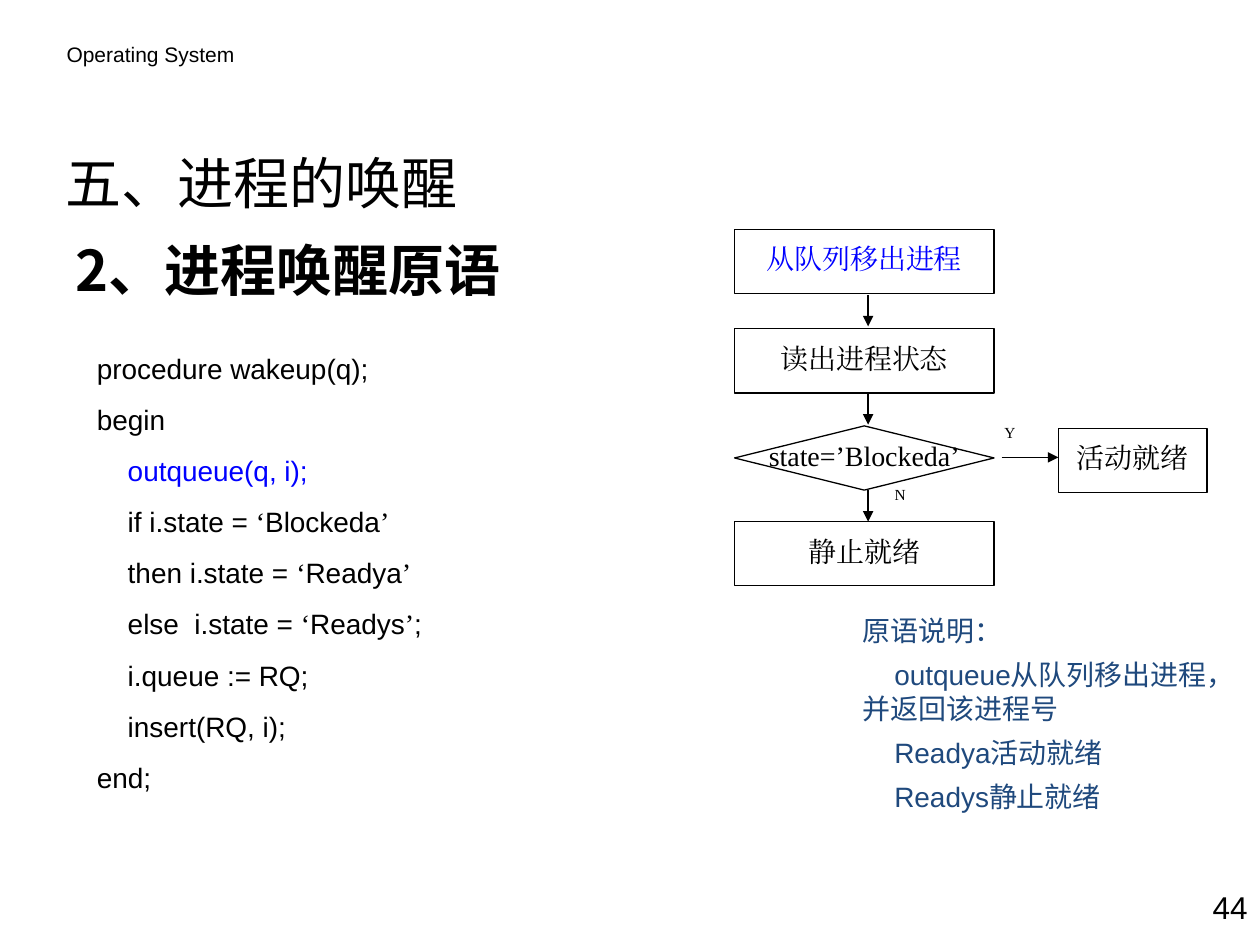
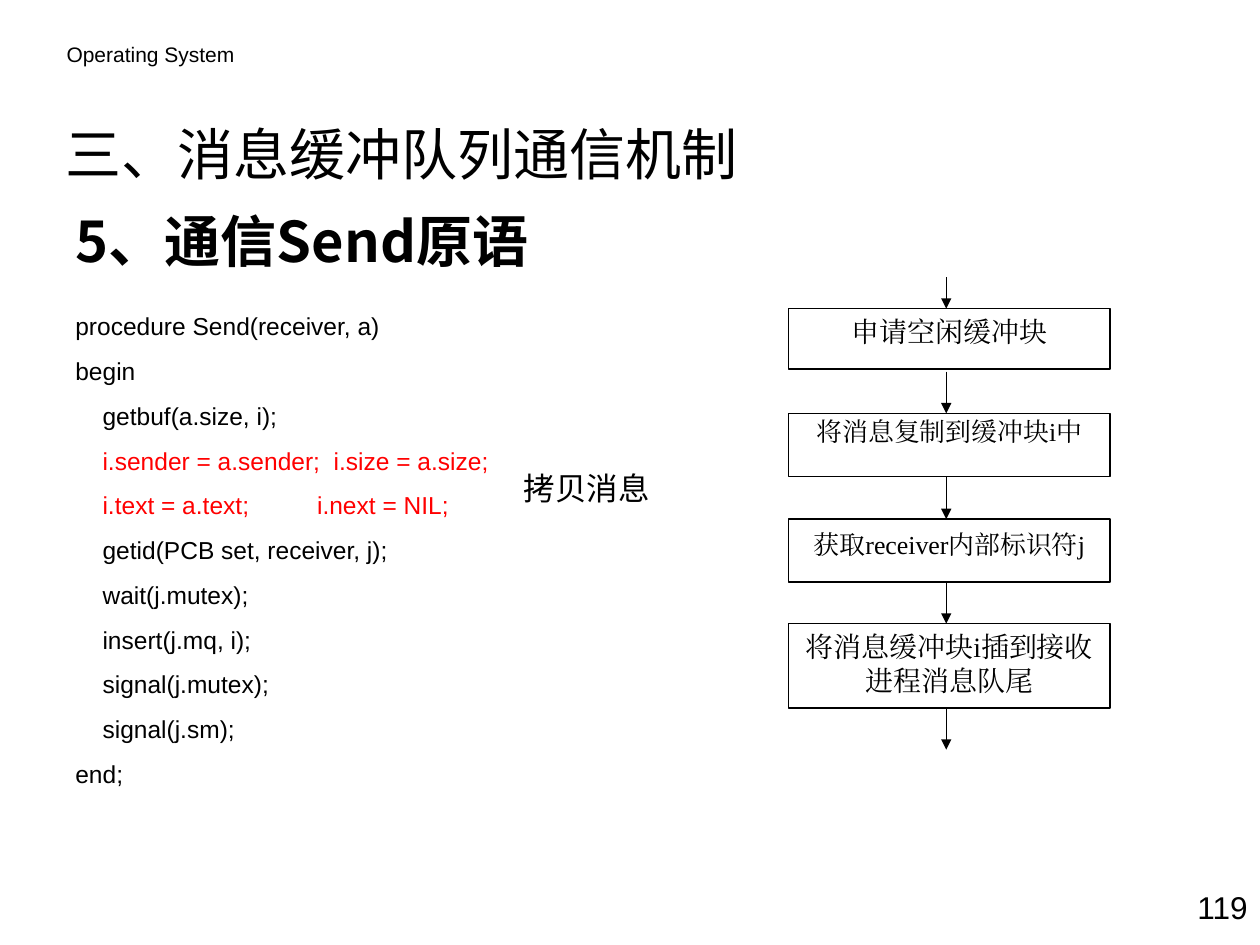
from itertools import groupby
from lxml.etree import SubElement as Sub
from pptx import Presentation
from pptx.dml.color import RGBColor as RGB
from pptx.enum.shapes import MSO_CONNECTOR as Conn, MSO_SHAPE as Kind
from pptx.enum.text import MSO_ANCHOR as Anchor, PP_ALIGN as Align
from pptx.oxml.ns import qn
from pptx.util import Inches, Pt

BLACK, BLUE, RED, NAVY, WHITE = "000000", "0000FF", "FF0000", "1F497D", "FFFFFF"
SANS, SERIF, HAN = "Arial", "Times New Roman", "Noto Sans CJK SC"
FLAT = (0, 0.1, 0, 0.05)
BASE = (0.1, 0.05, 0.1, 0.05)


def put(slide, at, text, size, font=SANS, hue=BLACK, kind=None, align=Align.LEFT,
        gap=0, ins=BASE, ratio=None, anchor=Anchor.TOP, bold=False, hot=(), tone=BLUE):
    place = [Inches(n) for n in at]
    if kind:
        box = slide.shapes.add_shape(kind, *place)
        box.shadow.inherit = False
        box.fill.solid()
        box.fill.fore_color.rgb = RGB.from_string(WHITE)
        box.line.color.rgb = RGB.from_string(BLACK)
        box.line.width = Pt(0.75)
    else:
        box = slide.shapes.add_textbox(*place)
    frame = box.text_frame
    frame.word_wrap = True
    frame.vertical_anchor = anchor
    frame.margin_left, frame.margin_top, frame.margin_right, frame.margin_bottom = [
        Inches(n) for n in ins]
    for row, line in enumerate(text.split("\n")):
        para = frame.add_paragraph() if row else frame.paragraphs[0]
        para.alignment = align
        para.space_before = Pt(gap if row else 0)
        if ratio:
            para.line_spacing = ratio
        for quote, part in groupby(line, lambda c: c in "‘’"):
            run = para.add_run()
            run.text = "".join(part)
            face = SERIF if quote else font
            run.font.size = Pt(size)
            run.font.bold = bold
            run.font.color.rgb = RGB.from_string(tone if row in hot else hue)
            run.font.name = face
            Sub(run.font._element, qn("a:ea"), typeface=face)
    return box


def arrow(slide, x1, y1, x2, y2):
    line = slide.shapes.add_connector(Conn.STRAIGHT, *[Inches(n) for n in (x1, y1, x2, y2)])
    line.line.color.rgb = RGB.from_string(BLACK)
    line.line.width = Pt(0.75)
    Sub(line.line._get_or_add_ln(), qn("a:tailEnd"), type="triangle", w="med", len="med")
    Sub(line._element.spPr, qn("a:effectLst"))


deck = Presentation()
deck.slide_width, deck.slide_height = Inches(10), Inches(7.5)

pages = [
    (1.07, "五、进程的唤醒", "2、进程唤醒原语", "44"),
    (0.84, "三、消息缓冲队列通信机制", "5、通信Send原语", "119"),
]
slides = []
for top, title, sub, num in pages:
    slide = deck.slides.add_slide(deck.slide_layouts[6])
    put(slide, (0.43, 0.28, 4.1, 0.3), "Operating System", 12)
    put(slide, (0.42, top, 5.67, 0.75), title, 32, HAN, anchor=Anchor.MIDDLE)
    put(slide, (0.5, top + 0.75, 5.5, 0.75), sub, 32, HAN, bold=True)
    put(slide, (9.1, 7, 0.9, 0.4), num, 18, align=Align.RIGHT)
    slides.append(slide)
wake, send = slides

code = """procedure wakeup(q);
begin
    outqueue(q, i);
    if i.state = ‘Blockeda’
    then i.state = ‘Readya’
    else  i.state = ‘Readys’;
    i.queue := RQ;
    insert(RQ, i);
end;"""
put(wake, (0.67, 2.74, 3.75, 3.61), code, 16, gap=10, hot=(2,))

note = "原语说明：\noutqueue从队列移出进程，并返回该进程号\nReadya活动就绪\nReadys静止就绪"
box = put(wake, (6.75, 4.82, 3, 1.69), note, 16, hue=NAVY, gap=6)
for para in box.text_frame.paragraphs[1:]:
    para._p.get_or_add_pPr().set("indent", str(Inches(0.25)))

steps = [
    (5.83, 1.82, 2.06, "从队列移出进程", BLUE),
    (5.83, 2.61, 2.06, "读出进程状态", BLACK),
    (5.83, 4.14, 2.06, "静止就绪", BLACK),
    (8.4, 3.4, 1.18, "活动就绪", BLACK),
]
for x, y, wide, text, hue in steps:
    put(wake, (x, y, wide, 0.51), text, 16, SERIF, hue, Kind.RECTANGLE, Align.CENTER, ins=FLAT)
test = (5.83, 3.38, 2.06, 0.51)
put(wake, test, "", 16, kind=Kind.FLOWCHART_DECISION)
put(wake, test, "state=’Blockeda’", 16, SERIF, align=Align.CENTER, ins=FLAT)
for x, y, text in [(6.8, 3.78, "N"), (7.67, 3.29, "Y")]:
    put(wake, (x, y, 0.69, 0.26), text, 8.8, SERIF, align=Align.CENTER,
        ins=(0, 0.1, 0, 0), ratio=0.8)
for y in (2.34, 3.12, 3.89):
    arrow(wake, 6.89, y, 6.89, y + 0.25)
arrow(wake, 7.95, 3.63, 8.4, 3.63)

code = """procedure Send(receiver, a)
begin
    getbuf(a.size, i);
    i.sender = a.sender;  i.size = a.size;
    i.text = a.text;          i.next = NIL;
    getid(PCB set, receiver, j);
    wait(j.mutex);
    insert(j.mq, i);
    signal(j.mutex);
    signal(j.sm);
end;"""
put(send, (0.5, 2.42, 6, 3.89), code, 14, gap=8.8, hot=(3, 4), tone=RED)
put(send, (4.06, 3.67, 1.81, 0.4), "拷贝消息", 18)

steps = [
    (2.45, 0.48, "申请空闲缓冲块", 16, None),
    (3.28, 0.5, "将消息复制到缓冲块i中", 14.8, 0.9),
    (4.12, 0.5, "获取receiver内部标识符j", 14.8, 1.1),
    (4.95, 0.67, "将消息缓冲块i插到接收进程消息队尾", 16, None),
]
for y, high, text, size, ratio in steps:
    put(send, (6.26, y, 2.55, high), text, size, SERIF, kind=Kind.RECTANGLE,
        align=Align.CENTER, ratio=ratio)
for y, end in [(2.2, 2.45), (2.95, 3.28), (3.78, 4.12), (4.62, 4.95), (5.62, 5.95)]:
    arrow(send, 7.51, y, 7.51, end)

deck.save("out.pptx")
